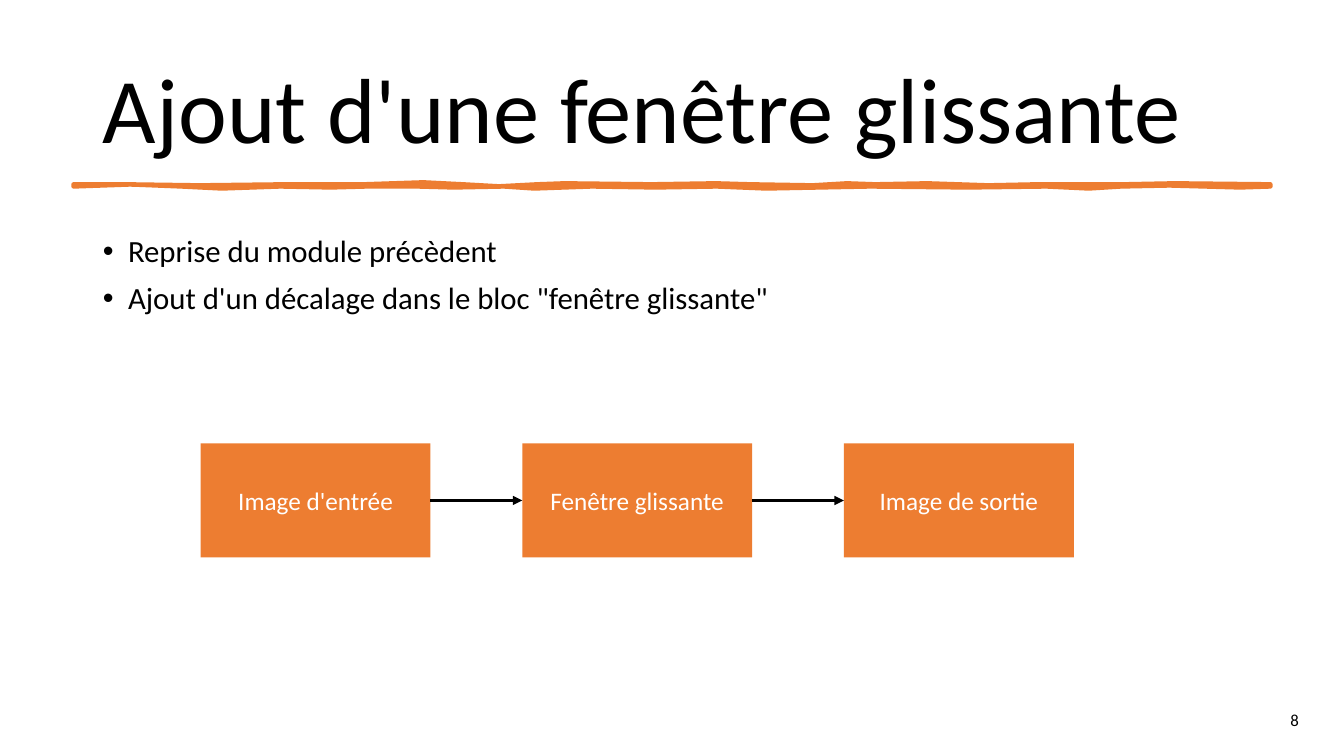
"""Build the slide that presents the sliding window module."""
from collections import namedtuple

from lxml import etree
from pptx import Presentation
from pptx.dml.color import RGBColor
from pptx.enum.shapes import MSO_CONNECTOR, MSO_SHAPE
from pptx.enum.text import MSO_ANCHOR, MSO_AUTO_SIZE, PP_ALIGN
from pptx.oxml.ns import qn
from pptx.util import Inches, Pt

Theme = namedtuple("Theme", "font black white orange title body block number")
theme = Theme("Calibri", RGBColor(0, 0, 0), RGBColor(255, 255, 255),
              RGBColor(0xED, 0x7D, 0x31), Pt(66), Pt(22), Pt(18), Pt(12))


def place(shape, left, top, width, height):
    shape.left, shape.top = Inches(left), Inches(top)
    shape.width, shape.height = Inches(width), Inches(height)


def format_text(shape, size, color, alignment, anchor):
    text_frame = shape.text_frame
    text_frame.word_wrap = True
    text_frame.auto_size = MSO_AUTO_SIZE.NONE
    text_frame.vertical_anchor = anchor
    for paragraph in text_frame.paragraphs:
        paragraph.alignment = alignment
        for run in paragraph.runs:
            run.font.name = theme.font
            run.font.size = size
            run.font.color.rgb = color


presentation = Presentation()
presentation.slide_width = Inches(13.33)
presentation.slide_height = Inches(7.5)
slide = presentation.slides.add_slide(presentation.slide_layouts[1])

title = slide.shapes.title
place(title, 0.92, 0.4, 11.5, 1.45)
title.text_frame.text = "Ajout d'une fenêtre glissante"
format_text(title, theme.title, theme.black, PP_ALIGN.LEFT, MSO_ANCHOR.MIDDLE)
title.text_frame.paragraphs[0].line_spacing = 0.9

top_edge = [(0.73, 1.83), (1.24, 1.83), (1.98, 1.84), (2.84, 1.83), (3.61, 1.83),
            (4.2, 1.81), (4.59, 1.83), (4.95, 1.85), (5.33, 1.83), (5.6, 1.82),
            (6.46, 1.83), (7.1, 1.82), (7.44, 1.83), (8.06, 1.84), (8.4, 1.82),
            (8.68, 1.83), (9.2, 1.82), (9.8, 1.84), (10.29, 1.83), (11.15, 1.83),
            (11.65, 1.82), (12.6, 1.83)]
bottom_edge = [(12.6, 1.85), (12.3, 1.86), (11.6, 1.84), (11.12, 1.85), (10.8, 1.87),
               (10.38, 1.85), (9.6, 1.86), (8.63, 1.85), (7.6, 1.87), (7.11, 1.85),
               (6.5, 1.86), (5.87, 1.85), (5.3, 1.87), (5, 1.85), (4.5, 1.86),
               (4.14, 1.85), (3.64, 1.85), (3.28, 1.86), (2.78, 1.85), (2.2, 1.87),
               (1.8, 1.85), (1.3, 1.83), (0.73, 1.85)]
outline = [(Inches(x), Inches(y)) for x, y in top_edge + bottom_edge]
builder = slide.shapes.build_freeform(*outline[0])
builder.add_line_segments(outline[1:], close=True)
underline = builder.convert_to_shape()
underline.shadow.inherit = False
underline.fill.solid()
underline.fill.fore_color.rgb = theme.orange
underline.line.color.rgb = theme.orange
underline.line.width = Pt(3.25)

body = slide.placeholders[1]
place(body, 0.92, 2.29, 7.74, 1.26)
body.text_frame.text = ("Reprise du module précèdent\n"
                        "Ajout d'un décalage dans le bloc \"fenêtre glissante\"")
format_text(body, theme.body, theme.black, PP_ALIGN.LEFT, MSO_ANCHOR.TOP)
for paragraph in body.text_frame.paragraphs:
    paragraph.line_spacing = 0.9
    paragraph.space_before = Pt(10)
    properties = paragraph._p.get_or_add_pPr()
    properties.set("marL", str(Inches(0.25)))
    properties.set("indent", str(Inches(-0.25)))
    etree.SubElement(properties, qn("a:buChar")).set("char", "•")

blocks = []
for index, label in enumerate(["Image d'entrée", "Fenêtre glissante", "Image de sortie"]):
    block = slide.shapes.add_shape(
        MSO_SHAPE.RECTANGLE, Inches(1.99 + 3.19 * index), Inches(4.4), Inches(2.28), Inches(1.13))
    block.shadow.inherit = False
    block.fill.solid()
    block.fill.fore_color.rgb = theme.orange
    block.line.fill.background()
    block.text_frame.text = label
    format_text(block, theme.block, theme.white, PP_ALIGN.CENTER, MSO_ANCHOR.MIDDLE)
    blocks.append(block)

for source, target in zip(blocks, blocks[1:]):
    arrow = slide.shapes.add_connector(MSO_CONNECTOR.STRAIGHT, 0, 0, 0, 0)
    arrow.begin_connect(source, 3)
    arrow.end_connect(target, 1)
    arrow.line.color.rgb = theme.black
    arrow.line.width = Pt(2.25)
    etree.SubElement(arrow.line._get_or_add_ln(), qn("a:tailEnd")).set("type", "triangle")
    etree.SubElement(arrow._element.spPr, qn("a:effectLst"))

number = slide.shapes.add_textbox(Inches(12.49), Inches(6.99), Inches(0.7), Inches(0.3))
number.text_frame.text = "8"
format_text(number, theme.number, theme.black, PP_ALIGN.CENTER, MSO_ANCHOR.TOP)

presentation.save("out.pptx")
